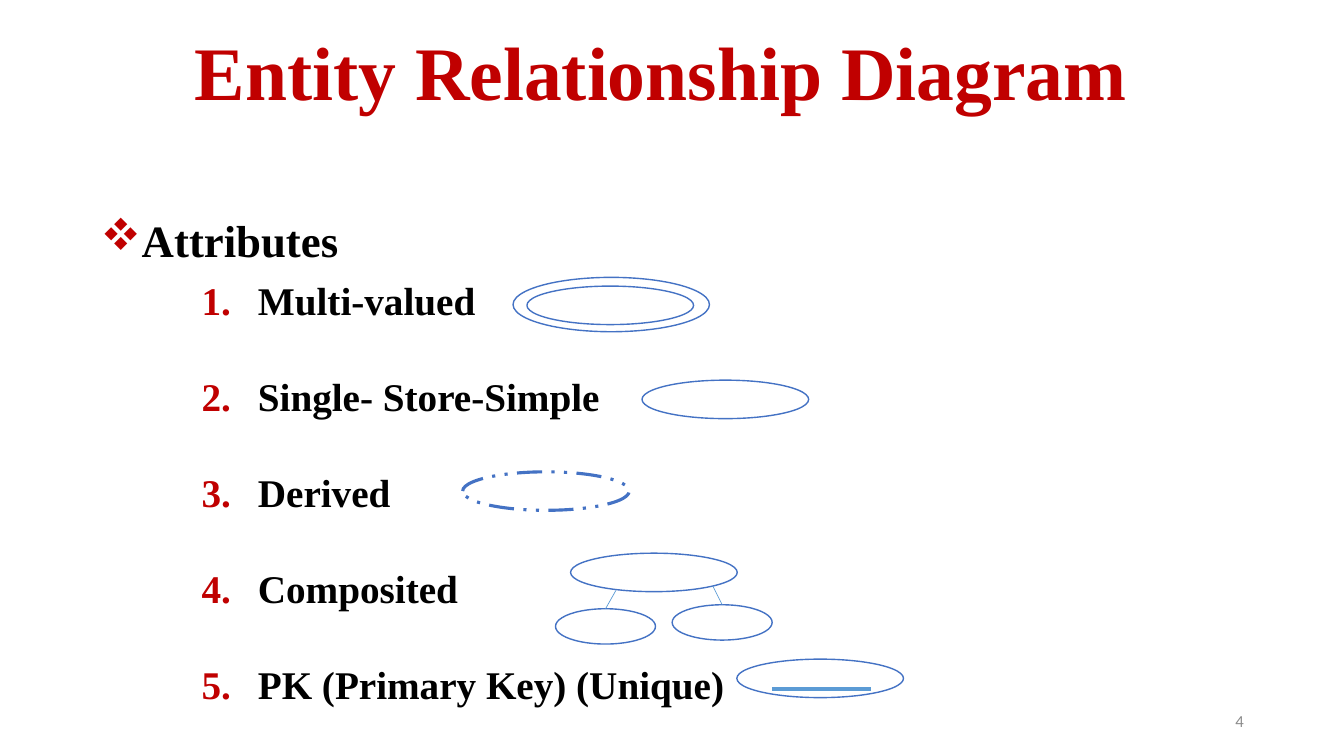
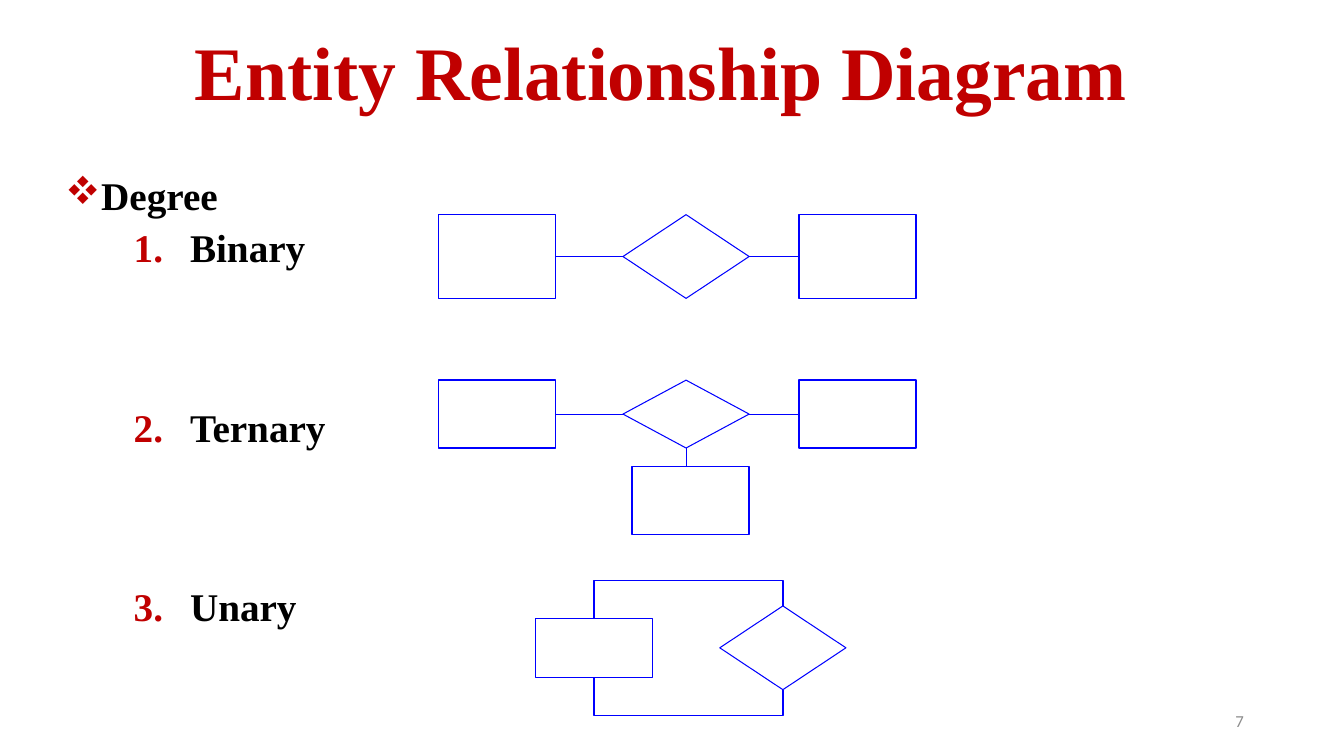
"""Build two entity relationship diagram slides: attributes and degrees."""
import pptx
import pptx.util
import pptx.dml.color
import pptx.enum.dml
import pptx.enum.shapes
import pptx.enum.text
import pptx.oxml.ns
import lxml.etree

Cm, Pt = pptx.util.Cm, pptx.util.Pt
SHAPE = pptx.enum.shapes.MSO_SHAPE
CONNECTOR = pptx.enum.shapes.MSO_CONNECTOR
ALIGN = pptx.enum.text.PP_ALIGN
ANCHOR = pptx.enum.text.MSO_ANCHOR
qn = pptx.oxml.ns.qn

COLORS = {
    "accent": "C00000",
    "ink": "000000",
    "paper": "FFFFFF",
    "muted": "8C8C8C",
    "attribute": "4472C4",
    "link": "5B9BD5",
    "entity": "0000FF",
}
FONTS = {
    "title": {"name": "Times New Roman", "size": Pt(54), "bold": True},
    "heading": {"name": "Times New Roman", "size": Pt(32), "bold": True},
    "item": {"name": "Times New Roman", "size": Pt(28), "bold": True},
    "number": {"name": "Calibri", "size": Pt(12), "bold": False},
}
DIAMOND = "❖"
WINGDINGS = {DIAMOND: "v"}


def rgb(color):
    return pptx.dml.color.RGBColor.from_string(COLORS[color])


def assign(target, values):
    for key, value in values.items():
        setattr(target, key, value)


class Deck:
    def __init__(self):
        self.prs = pptx.Presentation()
        assign(self.prs, {"slide_width": Cm(33.87), "slide_height": Cm(19.05)})
        self.slide = None

    def new_slide(self, title, number):
        self.slide = self.prs.slides.add_slide(self.prs.slide_layouts[5])
        heading = self.slide.shapes.title
        assign(heading, {"left": Cm(2.29), "top": Cm(0.66),
                         "width": Cm(28.73), "height": Cm(2.51)})
        assign(heading.text_frame, {
            "word_wrap": True, "vertical_anchor": ANCHOR.MIDDLE,
            "auto_size": pptx.enum.text.MSO_AUTO_SIZE.NONE})
        self.paragraph(heading.text_frame.paragraphs[0], title, "title", "accent",
                       alignment=ALIGN.CENTER, line_spacing=0.9)
        footer = self.text_frame(23.98, 17.66, 7.62, 1.01)
        footer.vertical_anchor = ANCHOR.MIDDLE
        self.paragraph(footer.paragraphs[0], number, "number", "muted",
                       alignment=ALIGN.RIGHT)

    def text_frame(self, left, top, width, height):
        frame = self.slide.shapes.add_textbox(
            Cm(left), Cm(top), Cm(width), Cm(height)).text_frame
        frame.word_wrap = True
        return frame

    def paragraph(self, para, text, font, color, **layout):
        assign(para, layout)
        run = para.add_run()
        run.text = text
        assign(run.font, FONTS[font])
        run.font.color.rgb = rgb(color)

    def bullet(self, para, margin, hanging, symbol=None):
        props = para._p.get_or_add_pPr()
        props.set("marL", str(Cm(margin)))
        props.set("indent", str(-Cm(hanging)))
        tint = lxml.etree.SubElement(props, qn("a:buClr"))
        lxml.etree.SubElement(tint, qn("a:srgbClr"), val=COLORS["accent"])
        if symbol:
            lxml.etree.SubElement(props, qn("a:buFont"), typeface="Wingdings")
            lxml.etree.SubElement(props, qn("a:buChar"), char=WINGDINGS[symbol])
        else:
            lxml.etree.SubElement(props, qn("a:buFont"), typeface="+mj-lt")
            lxml.etree.SubElement(props, qn("a:buAutoNum"), type="arabicPeriod")

    def heading(self, frame, text, font, hanging, **layout):
        para = frame.paragraphs[0]
        self.paragraph(para, text, font, "ink", **layout)
        self.bullet(para, hanging, hanging, DIAMOND)

    def numbered(self, frame, items, margin, first_gap, gap, **layout):
        for index, item in enumerate(items):
            fresh = not frame.paragraphs[0].runs
            para = frame.paragraphs[0] if fresh else frame.add_paragraph()
            self.paragraph(para, item, "item", "ink",
                           space_before=Pt(gap if index else first_gap), **layout)
            self.bullet(para, margin, 1.42)

    def node(self, kind, left, top, width, height, color, weight=1, dash=None):
        node = self.slide.shapes.add_shape(
            kind, Cm(left), Cm(top), Cm(width), Cm(height))
        node.shadow.inherit = False
        node.fill.solid()
        node.fill.fore_color.rgb = rgb("paper")
        self.stroke(node.line, color, weight, dash)
        return node

    def ellipse(self, left, top, width=4.2, height=0.97, **line):
        return self.node(SHAPE.OVAL, left, top, width, height, "attribute", **line)

    def entity(self, left, top, height):
        return self.node(SHAPE.RECTANGLE, left, top, 2.95, height, "entity")

    def relation(self, left, top, height):
        return self.node(SHAPE.DIAMOND, left, top, 3.18, height, "entity", 0.75)

    def stroke(self, line, color, weight, dash=None):
        line.color.rgb = rgb(color)
        assign(line, {"width": Pt(weight), "dash_style": dash})

    def connector(self, kind, begin, end, color, weight):
        link = self.slide.shapes.add_connector(kind, *begin, *end)
        lxml.etree.SubElement(link._element.spPr, qn("a:effectLst"))
        self.stroke(link.line, color, weight)
        return link

    def line(self, begin, end, color, weight):
        return self.connector(CONNECTOR.STRAIGHT, begin, end, color, weight)

    def join(self, first, second):
        middle = first.top + first.height // 2
        link = self.line((first.left + first.width, middle),
                         (second.left, middle), "entity", 0.75)
        link.begin_connect(first, 3)
        link.end_connect(second, 1)

    def loop(self, entity, relation, above, reach):
        x1 = entity.left + entity.width // 2
        x2 = relation.left + relation.width // 2
        y1, y2 = (part.top + (0 if above else part.height)
                  for part in (entity, relation))
        rise, span = abs(y2 - y1), x2 - x1
        cx, cy = (x1 + x2) // 2, (y1 + y2) // 2
        tilt = span // 2 if above else -span // 2
        link = self.connector(CONNECTOR.ELBOW, (cx + rise // 2, cy + tilt),
                              (cx - rise // 2, cy - tilt), "entity", 1)
        props = link._element.spPr
        props.find(qn("a:xfrm")).set("rot", str((90 if above else 270) * 60000))
        guides = props.find(qn("a:prstGeom")).find(qn("a:avLst"))
        lxml.etree.SubElement(guides, qn("a:gd"), name="adj1",
                              fmla=f"val {round(Cm(reach) / rise * 100000)}")


def attributes_slide(deck):
    deck.new_slide("Entity Relationship Diagram", "4")
    body = deck.text_frame(2.29, 5.23, 26.26, 13)
    deck.heading(body, "Attributes", "heading", 0.97)
    deck.numbered(body, ["Multi-valued", "Single- Store-Simple", "Derived",
                         "Composited", "PK (Primary Key) (Unique)"],
                  margin=3.96, first_gap=7, gap=35)

    deck.ellipse(12.93, 6.99, 4.95, 1.37)
    deck.ellipse(13.28, 7.21)
    deck.ellipse(16.18, 9.58)
    deck.ellipse(11.66, 11.89, weight=2.25,
                 dash=pptx.enum.dml.MSO_LINE.DASH_DOT_DOT)
    deck.ellipse(14.38, 13.94)
    for left, top, branch_x, branch_y in ((16.94, 15.24, 17.96, 14.76),
                                          (14, 15.34, 15.52, 14.88)):
        component = deck.ellipse(left, top, 2.52, 0.89)
        branch = deck.line((Cm(branch_x), Cm(branch_y)),
                           (Cm(left), Cm(top)), "link", 0.5)
        branch.end_connect(component, 0)
    deck.ellipse(18.57, 16.61)
    deck.line((Cm(19.46), Cm(17.37)), (Cm(21.95), Cm(17.37)), "link", 3)


def degree_slide(deck):
    deck.new_slide("Entity Relationship Diagram", "7")
    spacing = {"line_spacing": 0.9, "space_after": Pt(6)}
    deck.heading(deck.text_frame(1.4, 4.32, 8.51, 1.35), "Degree", "item", 0.85,
                 space_before=Pt(6), **spacing)
    deck.numbered(deck.text_frame(3.12, 5.64, 7.6, 10.36),
                  ["Binary", "Ternary", "Unary"],
                  margin=1.42, first_gap=6, gap=92, **spacing)

    for top, height in ((5.41, 2.11), (9.58, 1.71)):
        left_entity, right_entity = (deck.entity(left, top, height)
                                     for left in (11.05, 20.14))
        deck.join(left_entity, right_entity)
        relation = deck.relation(15.7, top, height)
    third_entity = deck.entity(15.93, 11.76, 1.71)
    middle = relation.left + relation.width // 2
    stem = deck.line((middle, relation.top + relation.height),
                     (middle, third_entity.top), "entity", 0.75)
    stem.begin_connect(relation, 2)

    relation = deck.relation(18.14, 15.27, 2.11)
    entity = deck.entity(13.49, 15.58, 1.5)
    for above in (True, False):
        deck.loop(entity, relation, above, 0.95)


def main():
    deck = Deck()
    attributes_slide(deck)
    degree_slide(deck)
    deck.prs.save("out.pptx")


if __name__ == "__main__":
    main()
